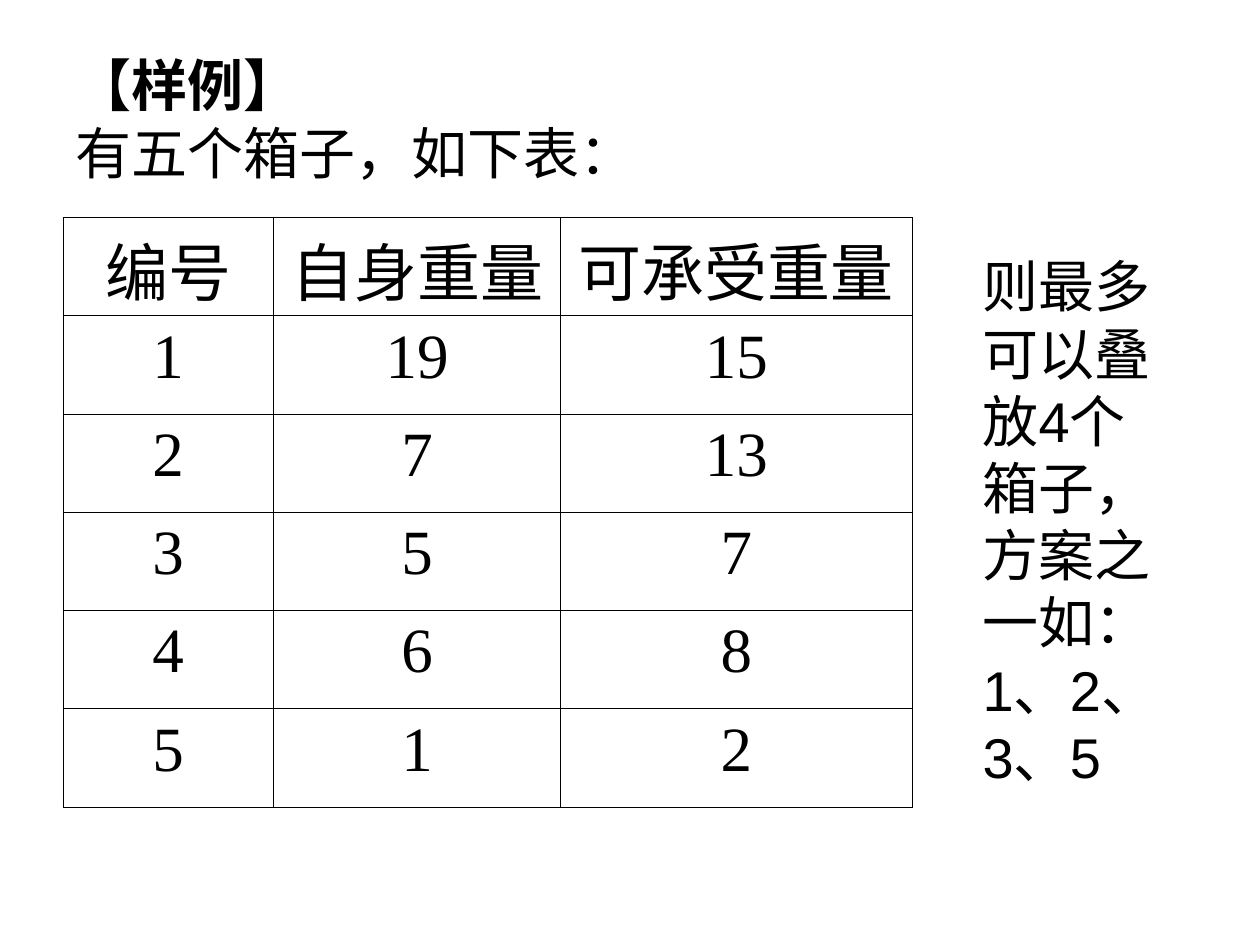
from dataclasses import dataclass

from lxml.etree import SubElement
from pptx import Presentation
from pptx.dml.color import RGBColor
from pptx.enum.lang import MSO_LANGUAGE_ID as Language
from pptx.enum.text import MSO_ANCHOR as Anchor, PP_ALIGN as Align
from pptx.oxml.ns import qn
from pptx.util import Inches, Pt


@dataclass(frozen=True)
class Theme:
    ink: str = "000000"
    body_font: str = "Arial"
    table_font: str = "Times New Roman"
    body_size: int = 32
    table_size: int = 36
    rule_width: float = 0.45


THEME = Theme()
WIDTH, HEIGHT = Inches(10), Inches(7.5)
MARGIN = 0.05  # share of the slide width
COLUMN_WIDTHS = (1.67, 2.28, 2.79)
ROW_HEIGHT = 0.78

BOXES = (
    ("编号", "自身重量", "可承受重量"),
    (1, 19, 15),
    (2, 7, 13),
    (3, 5, 7),
    (4, 6, 8),
    (5, 1, 2),
)


def place(left, top, width, height):
    """Turn shares of the slide size into lengths."""
    return (round(left * WIDTH), round(top * HEIGHT),
            round(width * WIDTH), round(height * HEIGHT))


def style_run(run, font_name, size, bold=False):
    font = run.font
    font.name, font.size, font.bold = font_name, Pt(size), bold
    font.color.rgb = RGBColor.from_string(THEME.ink)
    font.language_id = Language.SIMPLIFIED_CHINESE


def add_text(slide, area, text, anchor=Anchor.TOP, bold_lines=0):
    """Add one wrapped paragraph whose first bold_lines lines are bold."""
    frame = slide.shapes.add_textbox(*place(*area)).text_frame
    frame.word_wrap = True
    frame.vertical_anchor = anchor
    paragraph = frame.paragraphs[0]
    paragraph.text = text
    for line, run in enumerate(paragraph.runs):
        style_run(run, THEME.body_font, THEME.body_size, line < bold_lines)


def draw_borders(cell):
    properties = cell._tc.get_or_add_tcPr()
    for side in ("a:lnL", "a:lnR", "a:lnT", "a:lnB"):
        rule = SubElement(properties, qn(side), w=str(Pt(THEME.rule_width)))
        fill = SubElement(rule, qn("a:solidFill"))
        SubElement(fill, qn("a:srgbClr"), val=THEME.ink)


def fill_cell(cell, value):
    paragraph = cell.text_frame.paragraphs[0]
    paragraph.text = str(value)
    paragraph.alignment = Align.CENTER
    style_run(paragraph.runs[0], THEME.table_font, THEME.table_size)
    draw_borders(cell)
    cell.fill.background()


def add_box_table(slide, left, top):
    area = place(left, top, 0.67, 0.62)
    table = slide.shapes.add_table(len(BOXES), len(COLUMN_WIDTHS), *area).table
    table.first_row = table.horz_banding = False
    for column, width in zip(table.columns, COLUMN_WIDTHS):
        column.width = Inches(width)
    for row, values in zip(table.rows, BOXES):
        row.height = Inches(ROW_HEIGHT)
        for cell, value in zip(row.cells, values):
            fill_cell(cell, value)


def main():
    deck = Presentation()
    deck.slide_width, deck.slide_height = WIDTH, HEIGHT
    slide = deck.slides.add_slide(deck.slide_layouts[6])

    add_text(slide, (MARGIN, 0.04, 1 - 2 * MARGIN, 0.17),
             "【样例】\v有五个箱子，如下表：", Anchor.MIDDLE, bold_lines=1)
    add_box_table(slide, MARGIN, 0.23)
    add_text(slide, (0.77, 0.26, 0.17, 0.58),
             "则最多可以叠放4个箱子，方案之一如：1、2、3、5")

    deck.save("out.pptx")


if __name__ == "__main__":
    main()
